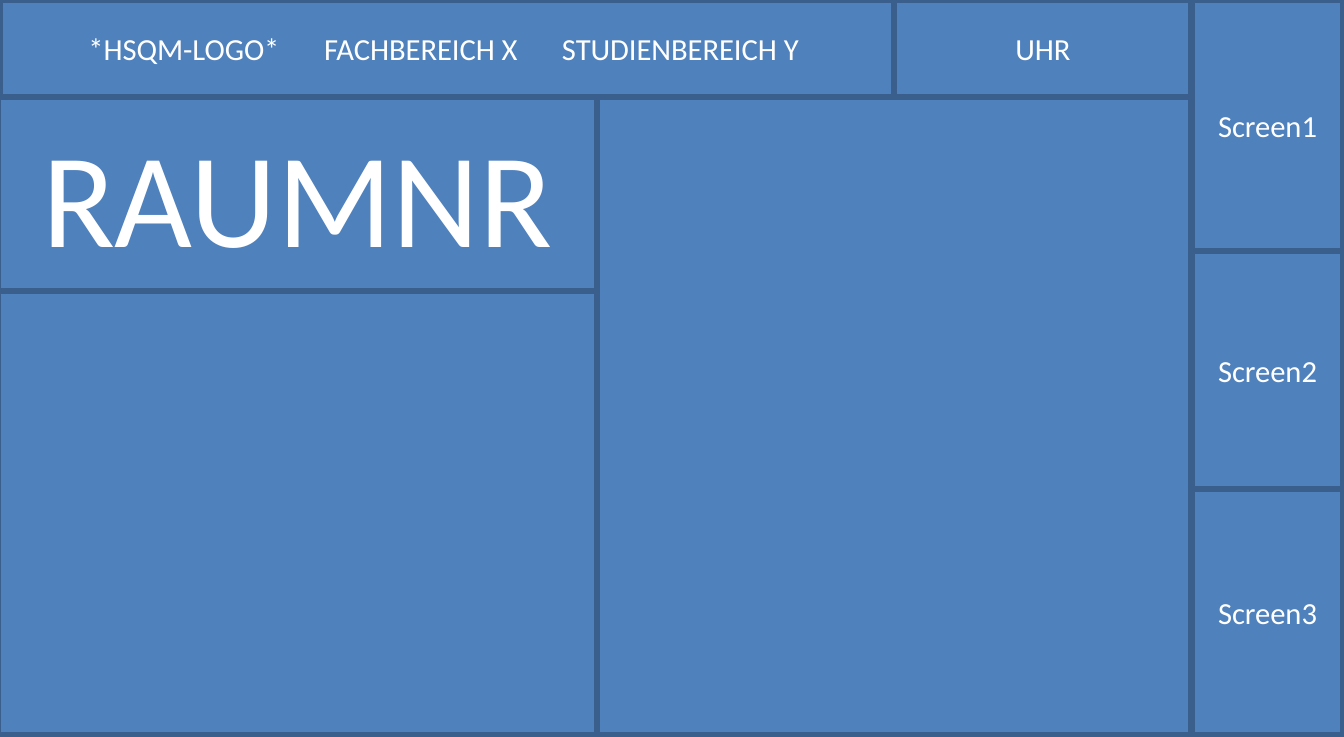
import dataclasses

import pptx
import pptx.dml.color
import pptx.enum.shapes
import pptx.enum.text
import pptx.oxml
import pptx.oxml.ns
import pptx.slide
import pptx.text.text
import pptx.util

Inches = pptx.util.Inches

FONT = "Calibri"
PANEL_FILL = "4F81BD"
PANEL_LINE = "3A5F8C"
TEXT_COLOR = "FFFFFF"

# The page measures 15.5 by 8.5 centimetres
CM_PER_INCH = 2.54
PAGE_WIDTH = 15.5 / CM_PER_INCH
PAGE_HEIGHT = 8.5 / CM_PER_INCH

# Shared edges of the panels, in inches
LEFT, MIDDLE, CLOCK_LEFT, SCREENS_LEFT, RIGHT = -0.01, 2.71, 4.06, 5.41, 6.1
TOP, HEADER_BOTTOM, ROOM_BOTTOM, BOTTOM = 0, 0.44, 1.32, 3.34
SCREEN_EDGES = [TOP, 1.14, 2.22, BOTTOM]
HEADER_TABS = [1.07, 2.15]


@dataclasses.dataclass
class Panel:
    left: float
    top: float
    right: float
    bottom: float
    label: str = ""
    size: float = 10
    tabs: list[float] = dataclasses.field(default_factory=list)


def color(value: str) -> pptx.dml.color.RGBColor:
    return pptx.dml.color.RGBColor.from_string(value)


def add_tabs(para: pptx.text.text._Paragraph, positions: list[float]) -> None:
    properties = para._p.get_or_add_pPr()
    tab_list = pptx.oxml.parse_xml(
        f"<a:tabLst {pptx.oxml.ns.nsdecls('a')}>"
        + "".join(f'<a:tab pos="{Inches(position)}" algn="l"/>' for position in positions)
        + "</a:tabLst>"
    )
    properties.append(tab_list)


def draw_panel(page: pptx.slide.Slide, panel: Panel) -> None:
    box = page.shapes.add_shape(
        pptx.enum.shapes.MSO_SHAPE.RECTANGLE,
        Inches(panel.left),
        Inches(panel.top),
        Inches(panel.right - panel.left),
        Inches(panel.bottom - panel.top),
    )
    box.shadow.inherit = False
    box.fill.solid()
    box.fill.fore_color.rgb = color(PANEL_FILL)
    box.line.color.rgb = color(PANEL_LINE)
    box.line.width = pptx.util.Pt(2)
    if not panel.label:
        return
    frame = box.text_frame
    frame.word_wrap = True
    frame.vertical_anchor = pptx.enum.text.MSO_ANCHOR.MIDDLE
    para = frame.paragraphs[0]
    para.alignment = pptx.enum.text.PP_ALIGN.CENTER
    if panel.tabs:
        add_tabs(para, panel.tabs)
    span = para.add_run()
    span.text = panel.label
    span.font.name = FONT
    span.font.size = pptx.util.Pt(panel.size)
    span.font.color.rgb = color(TEXT_COLOR)


def main() -> None:
    deck = pptx.Presentation()
    deck.slide_width = Inches(PAGE_WIDTH)
    deck.slide_height = Inches(PAGE_HEIGHT)
    page = deck.slides.add_slide(deck.slide_layouts[6])

    # Column of screens on the right
    panels = [
        Panel(SCREENS_LEFT, top, RIGHT, bottom, f"Screen{number}")
        for number, (top, bottom) in enumerate(zip(SCREEN_EDGES, SCREEN_EDGES[1:]), 1)
    ]

    # Header, room number, content areas and clock
    header = "*HSQM-LOGO* \tFACHBEREICH X \tSTUDIENBEREICH Y "
    panels += [
        Panel(0, TOP, CLOCK_LEFT, HEADER_BOTTOM, header, tabs=HEADER_TABS),
        Panel(LEFT, HEADER_BOTTOM, MIDDLE, ROOM_BOTTOM, "RAUMNR", 44),
        Panel(LEFT, ROOM_BOTTOM, MIDDLE, BOTTOM),
        Panel(MIDDLE, HEADER_BOTTOM, SCREENS_LEFT, BOTTOM),
        Panel(CLOCK_LEFT, TOP, SCREENS_LEFT, HEADER_BOTTOM, "UHR"),
    ]
    for panel in panels:
        draw_panel(page, panel)

    deck.save("out.pptx")


if __name__ == "__main__":
    main()
